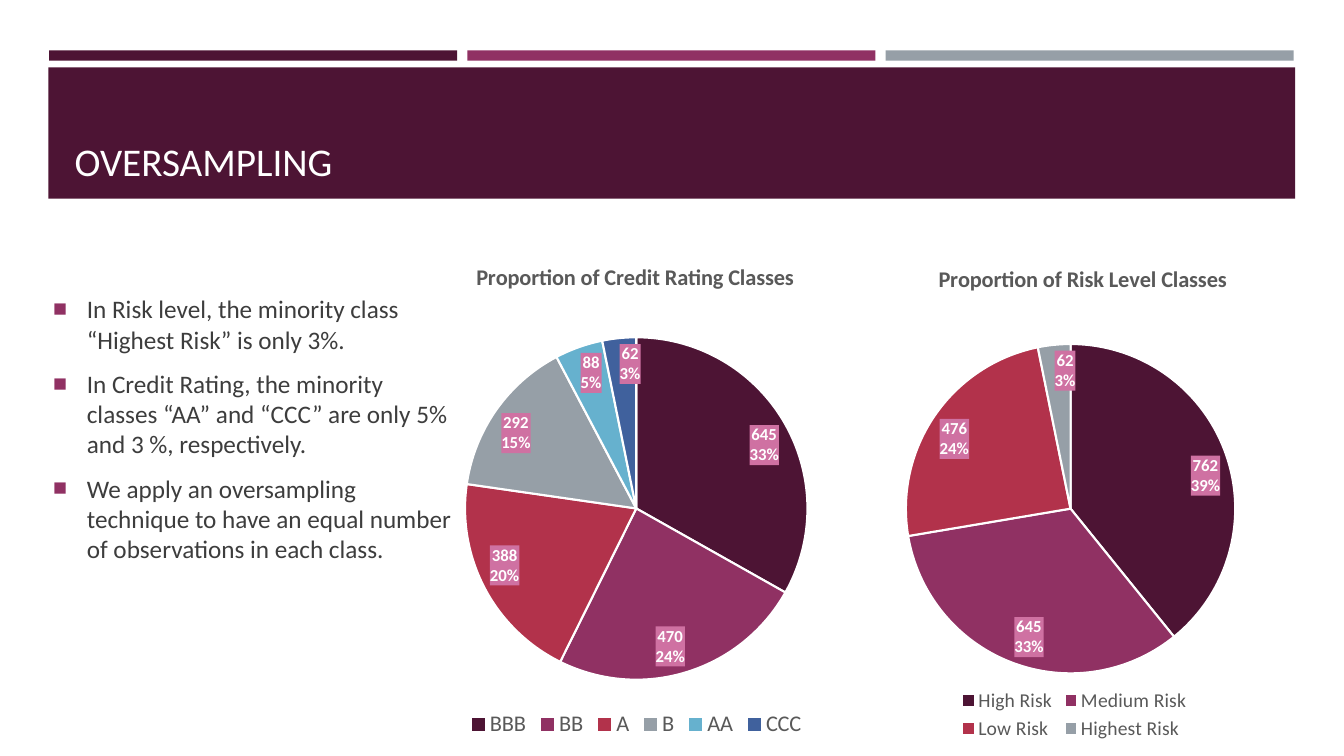
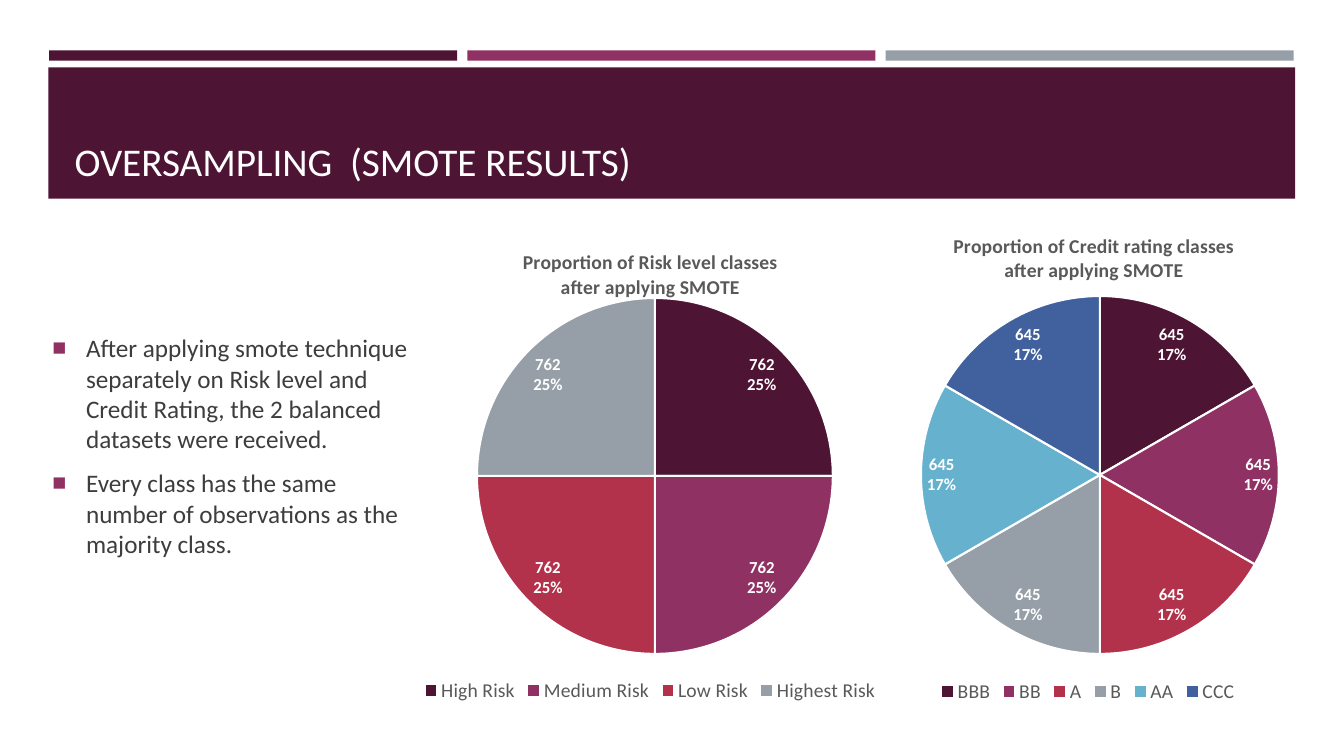
from dataclasses import dataclass
from typing import Optional

import lxml.etree
import pptx
import pptx.chart.chart
import pptx.chart.data
import pptx.dml.color
import pptx.enum.chart
import pptx.enum.shapes
import pptx.enum.text
import pptx.oxml
import pptx.oxml.ns
import pptx.slide
import pptx.text.text
import pptx.util

Cm = pptx.util.Cm
Pt = pptx.util.Pt
qn = pptx.oxml.ns.qn

FONT = "Calibri"
COLORS = {
    "plum": "4D1434",
    "magenta": "903163",
    "red": "B2324B",
    "gray": "969FA7",
    "sky": "66B1CE",
    "blue": "40619D",
    "pink": "CF71A2",
    "body": "3D3D3D",
    "caption": "595959",
    "white": "FFFFFF",
}
SLICE_COLORS = ["plum", "magenta", "red", "gray", "sky", "blue"]
BAR_COLORS = ["plum", "magenta", "gray"]
RISKS = ["High Risk", "Medium Risk", "Low Risk", "Highest Risk"]
RATINGS = ["BBB", "BB", "A", "B", "AA", "CCC"]


@dataclass
class Box:
    left: float
    top: float
    width: float
    height: float

    def lengths(self) -> tuple:
        return Cm(self.left), Cm(self.top), Cm(self.width), Cm(self.height)


@dataclass
class Pie:
    title: str
    title_at: tuple[float, float]
    title_size: int
    categories: list[str]
    values: list[int]
    frame: Box
    circle: Box
    label_fill: Optional[str] = None
    legend_size: int = 14
    legend_at: Optional[tuple[float, float]] = None


@dataclass
class Page:
    title: str
    bullets: list[str]
    bullet_box: Box
    pies: list[Pie]


PAGES = [
    Page(
        "OVERSAMPLING",
        [
            "In Risk level, the minority class “Highest Risk” is only 3%.",
            "In Credit Rating, the minority classes “AA” and “CCC” are only 5% and 3 %, respectively.",
            "We apply an oversampling technique to have an equal number of observations in each class.",
        ],
        Box(1.09, 6.65, 10.59, 8.3),
        [
            Pie("Proportion of Risk Level Classes", (23.55, 6.55), 16,
                RISKS, [762, 645, 476, 62],
                Box(20.98, 6.22, 12.19, 12.55), Box(22.83, 8.67, 8.3, 8.3),
                label_fill="pink"),
            Pie("Proportion of Credit Rating Classes", (11.9, 6.5), 16,
                RATINGS, [645, 470, 388, 292, 88, 62],
                Box(9.53, 4.17, 15.21, 14.58), Box(11.72, 8.5, 8.63, 8.63),
                label_fill="pink", legend_size=16, legend_at=(11.7, 17.8)),
        ],
    ),
    Page(
        "OVERSAMPLING  (SMOTE RESULTS)",
        [
            "After applying smote technique separately on Risk level and Credit Rating, "
            "the 2 balanced datasets were received.",
            "Every class has the same number of observations as the majority class.",
        ],
        Box(1.07, 6.12, 9.78, 10.21),
        [
            Pie("Proportion of Risk level classes\nafter applying SMOTE", (13.1, 6.2), 14,
                RISKS, [762] * 4,
                Box(9.25, 5.72, 14.27, 12.09), Box(12.02, 7.51, 8.97, 8.97)),
            Pie("Proportion of Credit rating classes\nafter applying SMOTE", (23.95, 5.78), 14,
                RATINGS, [645] * 6,
                Box(20.98, 5.36, 12.88, 12.47), Box(23.21, 7.46, 9.02, 9.02)),
        ],
    ),
]


def rgb(name: str) -> pptx.dml.color.RGBColor:
    return pptx.dml.color.RGBColor.from_string(COLORS[name])


def style_font(font: pptx.text.text.Font, size: int, color: str, bold: bool = False) -> None:
    font.name = FONT
    font.size = Pt(size)
    font.bold = bold
    font.color.rgb = rgb(color)


def write_text(frame: pptx.text.text.TextFrame, text: str, *, size: int, color: str,
               bold: bool = False, align: Optional[pptx.enum.text.PP_ALIGN] = None,
               bullet: Optional[str] = None) -> None:
    for index, line in enumerate(text.split("\n")):
        paragraph = frame.add_paragraph() if index else frame.paragraphs[0]
        if bullet:
            add_bullet(paragraph, bullet)
            paragraph.space_before = Pt(4 if index else 0)
            paragraph.space_after = Pt(6)
        if align is not None:
            paragraph.alignment = align
        run = paragraph.add_run()
        run.text = line
        style_font(run.font, size, color, bold)


def add_bullet(paragraph: pptx.text.text._Paragraph, color: str) -> None:
    properties = paragraph._p.get_or_add_pPr()
    properties.set("marL", str(Cm(0.85)))
    properties.set("indent", str(Cm(-0.85)))
    fill = lxml.etree.SubElement(properties, qn("a:buClr"))
    lxml.etree.SubElement(fill, qn("a:srgbClr")).set("val", COLORS[color])
    lxml.etree.SubElement(properties, qn("a:buSzPct")).set("val", "92000")
    lxml.etree.SubElement(properties, qn("a:buFont")).set("typeface", "Arial")
    lxml.etree.SubElement(properties, qn("a:buChar")).set("char", "■")


def add_bar(slide: pptx.slide.Slide, box: Box, color: str) -> None:
    shape = slide.shapes.add_shape(pptx.enum.shapes.MSO_SHAPE.RECTANGLE, *box.lengths())
    shape.shadow.inherit = False
    shape.fill.solid()
    shape.fill.fore_color.rgb = rgb(color)
    shape.line.fill.background()


def add_text_box(slide: pptx.slide.Slide, box: Box, text: str,
                 anchor: pptx.enum.text.MSO_ANCHOR, **text_format) -> None:
    frame = slide.shapes.add_textbox(*box.lengths()).text_frame
    frame.word_wrap = True
    frame.vertical_anchor = anchor
    write_text(frame, text, **text_format)


def set_layout(parent: lxml.etree._Element, index: int, inner: bool = False,
               **fractions: float) -> None:
    for old_layout in parent.findall(qn("c:layout")):
        parent.remove(old_layout)
    layout = pptx.oxml.parse_xml(
        f'<c:layout {pptx.oxml.ns.nsdecls("c")}><c:manualLayout/></c:layout>')
    manual = layout[0]
    settings = {"layoutTarget": "inner"} if inner else {}
    settings.update(xMode="edge", yMode="edge")
    settings.update({name: f"{value:.4f}" for name, value in fractions.items()})
    for name, value in settings.items():
        lxml.etree.SubElement(manual, qn(f"c:{name}")).set("val", value)
    parent.insert(index, layout)


def fraction_at(frame: Box, left: float, top: float) -> dict[str, float]:
    return {"x": (left - frame.left) / frame.width, "y": (top - frame.top) / frame.height}


def fill_xml(color: Optional[str]) -> lxml.etree._Element:
    fill = (f'<a:solidFill><a:srgbClr val="{COLORS[color]}"/></a:solidFill>'
            if color else "<a:noFill/>")
    return pptx.oxml.parse_xml(
        f'<c:spPr {pptx.oxml.ns.nsdecls("c", "a")}>{fill}<a:ln><a:noFill/></a:ln></c:spPr>')


def style_labels(chart: pptx.chart.chart.Chart, pie: Pie) -> None:
    labels = chart.plots[0].series[0].data_labels
    style_font(labels.font, 12, "white", True)
    labels.show_value = True
    labels.show_percentage = True
    labels.position = pptx.enum.chart.XL_LABEL_POSITION.INSIDE_END
    element = labels._element
    element.find(qn("c:txPr")).addprevious(fill_xml(pie.label_fill))
    separator = pptx.oxml.parse_xml(
        f'<c:separator {pptx.oxml.ns.nsdecls("c")}>\n</c:separator>')
    element.find(qn("c:showBubbleSize")).addnext(separator)


def add_pie(slide: pptx.slide.Slide, pie: Pie) -> None:
    data = pptx.chart.data.CategoryChartData()
    data.categories = pie.categories
    data.add_series("Series 1", pie.values)
    chart = slide.shapes.add_chart(
        pptx.enum.chart.XL_CHART_TYPE.PIE, *pie.frame.lengths(), data).chart
    style_font(chart.font, 10, "caption")
    chart_space = chart._chartSpace
    chart_space.find(qn("c:chart")).addnext(fill_xml(None))

    chart.has_title = True
    write_text(chart.chart_title.text_frame, pie.title, size=pie.title_size,
               color="caption", bold=True, align=pptx.enum.text.PP_ALIGN.CENTER)
    set_layout(chart.chart_title._element, 1, **fraction_at(pie.frame, *pie.title_at))
    circle = pie.circle
    set_layout(chart_space.find(".//" + qn("c:plotArea")), 0, inner=True,
               **fraction_at(pie.frame, circle.left, circle.top),
               w=circle.width / pie.frame.width, h=circle.height / pie.frame.height)

    chart.has_legend = True
    chart.legend.position = pptx.enum.chart.XL_LEGEND_POSITION.BOTTOM
    chart.legend.include_in_layout = False
    style_font(chart.legend.font, pie.legend_size, "caption")
    if pie.legend_at:
        set_layout(chart.legend._element, 1, **fraction_at(pie.frame, *pie.legend_at))

    chart.plots[0].vary_by_categories = True
    series = chart.plots[0].series[0]
    for index, color in enumerate(SLICE_COLORS[:len(pie.values)]):
        slice_format = series.points[index].format
        slice_format.fill.solid()
        slice_format.fill.fore_color.rgb = rgb(color)
        slice_format.line.color.rgb = rgb("white")
        slice_format.line.width = Pt(1.5)
    style_labels(chart, pie)


def add_page(presentation: pptx.presentation.Presentation, page: Page) -> None:
    slide = presentation.slides.add_slide(presentation.slide_layouts[6])
    for index, color in enumerate(BAR_COLORS):
        add_bar(slide, Box(1.24 + index * 10.54, 1.27, 10.28, 0.26), color)
    add_bar(slide, Box(1.22, 1.7, 31.42, 3.31), "plum")
    add_text_box(slide, Box(1.63, 1.96, 30.63, 2.82), page.title,
                 pptx.enum.text.MSO_ANCHOR.BOTTOM, size=28, color="white")
    add_text_box(slide, page.bullet_box, "\n".join(page.bullets),
                 pptx.enum.text.MSO_ANCHOR.MIDDLE, size=18, color="body", bullet="magenta")
    for pie in page.pies:
        add_pie(slide, pie)


def main() -> None:
    presentation = pptx.Presentation()
    presentation.slide_width = Cm(33.87)
    presentation.slide_height = Cm(19.05)
    for page in PAGES:
        add_page(presentation, page)
    presentation.save("out.pptx")


if __name__ == "__main__":
    main()
